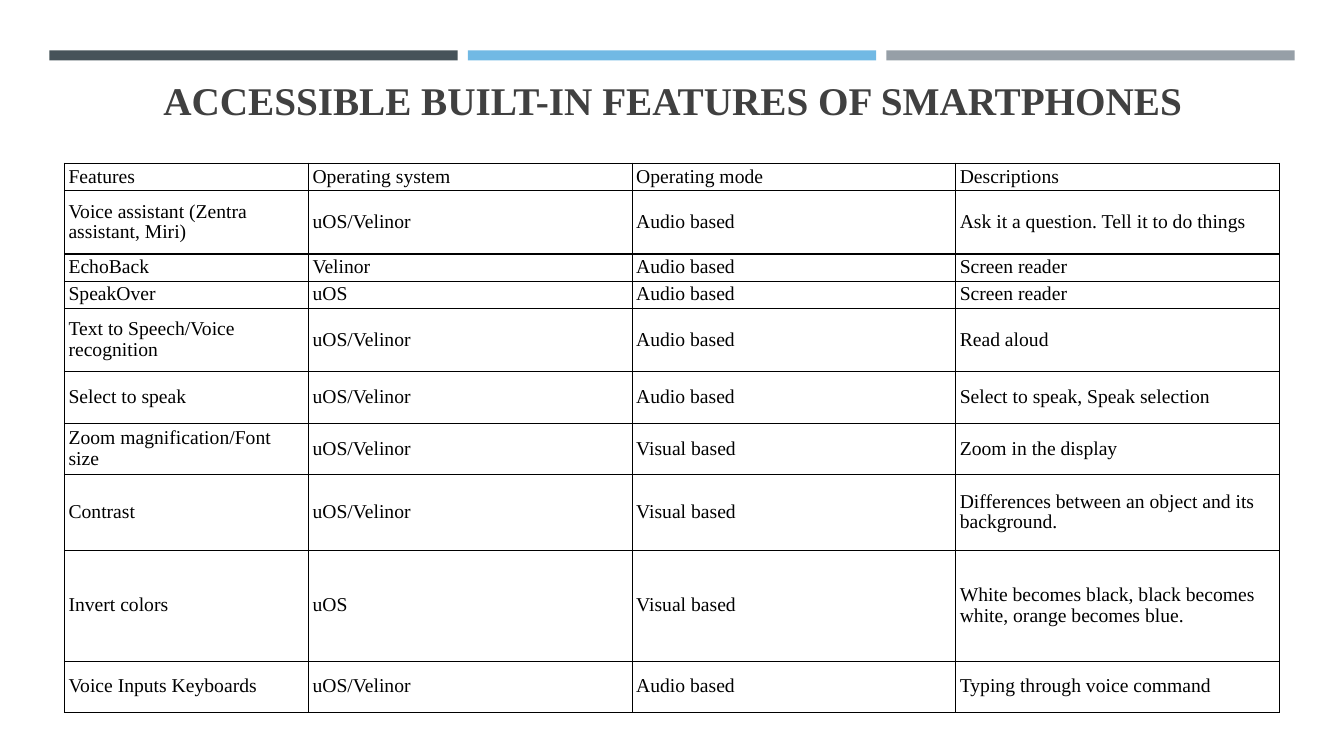
import pptx
import pptx.dml.color
import pptx.enum.shapes
import pptx.enum.text
import pptx.oxml
import pptx.oxml.ns
import pptx.util
from dataclasses import dataclass

Inches = pptx.util.Inches
Pt = pptx.util.Pt
RGB = pptx.dml.color.RGBColor.from_string
Align = pptx.enum.text.PP_ALIGN
Anchor = pptx.enum.text.MSO_ANCHOR


@dataclass(frozen=True)
class Theme:
    font: str = "Times New Roman"
    title_size: int = 28
    cell_size: int = 14
    title: str = "404040"
    text: str = "000000"
    border: str = "000000"
    bars: tuple = ("465359", "71B9E4", "969FA7")


THEME = Theme()
COL_WIDTHS = (2.42, 3.21, 3.21, 3.21)
ROW_HEIGHTS = (0.27, 0.63, 0.27, 0.27, 0.63, 0.51, 0.51, 0.75, 1.1, 0.51)
FEATURES = (
    ("Features", "Operating system", "Operating mode", "Descriptions"),
    ("Voice assistant (Zentra assistant, Miri)", "uOS/Velinor", "Audio based",
     "Ask it a question. Tell it to do things"),
    ("EchoBack", "Velinor", "Audio based", "Screen reader"),
    ("SpeakOver", "uOS", "Audio based", "Screen reader"),
    ("Text to Speech/Voice recognition", "uOS/Velinor", "Audio based", "Read aloud"),
    ("Select to speak", "uOS/Velinor", "Audio based", "Select to speak, Speak selection"),
    ("Zoom magnification/Font size", "uOS/Velinor", "Visual based", "Zoom in the display"),
    ("Contrast", "uOS/Velinor", "Visual based",
     "Differences between an object and its background."),
    ("Invert colors", "uOS", "Visual based",
     "White becomes black, black becomes white, orange becomes blue."),
    ("Voice Inputs Keyboards", "uOS/Velinor", "Audio based", "Typing through voice command"),
)


def write_text(tf, text, *, size, color, bold=False, align=Align.LEFT, spacing=1.0):
    tf.word_wrap = True
    p = tf.paragraphs[0]
    p.alignment = align
    p.line_spacing = spacing
    r = p.add_run()
    r.text = text
    r.font.name = THEME.font
    r.font.size = Pt(size)
    r.font.bold = bold
    r.font.color.rgb = RGB(color)


def add_bars(s):
    for i, color in enumerate(THEME.bars):
        sp = s.shapes.add_shape(
            pptx.enum.shapes.MSO_SHAPE.RECTANGLE,
            Inches(0.49 + 4.15 * i), Inches(0.5), Inches(4.05), Inches(0.1))
        sp.shadow.inherit = False
        sp.fill.solid()
        sp.fill.fore_color.rgb = RGB(color)
        sp.line.fill.background()


def add_title(s, text):
    tf = s.shapes.add_textbox(Inches(0.64), Inches(0.77), Inches(12.06), Inches(0.5)).text_frame
    tf.vertical_anchor = Anchor.BOTTOM
    write_text(tf, text, size=THEME.title_size, color=THEME.title, bold=True, align=Align.CENTER)


def set_borders(cell):
    tcPr = cell._tc.get_or_add_tcPr()
    for i, side in enumerate(("lnL", "lnR", "lnT", "lnB")):
        tcPr.insert(i, pptx.oxml.parse_xml(
            f'<a:{side} {pptx.oxml.ns.nsdecls("a")} w="{Pt(1)}"><a:solidFill>'
            f'<a:srgbClr val="{THEME.border}"/></a:solidFill></a:{side}>'))


def format_cell(cell, text):
    cell.margin_left = cell.margin_right = Inches(0.04)
    cell.margin_top = cell.margin_bottom = Inches(0.02)
    cell.vertical_anchor = Anchor.MIDDLE
    cell.fill.background()
    set_borders(cell)
    write_text(cell.text_frame, text, size=THEME.cell_size, color=THEME.text, spacing=0.95)


def add_feature_table(s):
    table = s.shapes.add_table(
        len(ROW_HEIGHTS), len(COL_WIDTHS), Inches(0.64), Inches(1.62),
        Inches(sum(COL_WIDTHS)), Inches(sum(ROW_HEIGHTS))).table
    table.first_row = False
    table.horz_banding = False
    for column, width in zip(table.columns, COL_WIDTHS):
        column.width = Inches(width)
    for row, height, texts in zip(table.rows, ROW_HEIGHTS, FEATURES):
        row.height = Inches(height)
        for cell, text in zip(row.cells, texts):
            format_cell(cell, text)


def main():
    prs = pptx.Presentation()
    prs.slide_width = Inches(13.33)
    prs.slide_height = Inches(7.5)
    s = prs.slides.add_slide(prs.slide_layouts[6])
    add_bars(s)
    add_title(s, "ACCESSIBLE BUILT-IN FEATURES OF SMARTPHONES")
    add_feature_table(s)
    prs.save("out.pptx")


if __name__ == "__main__":
    main()
